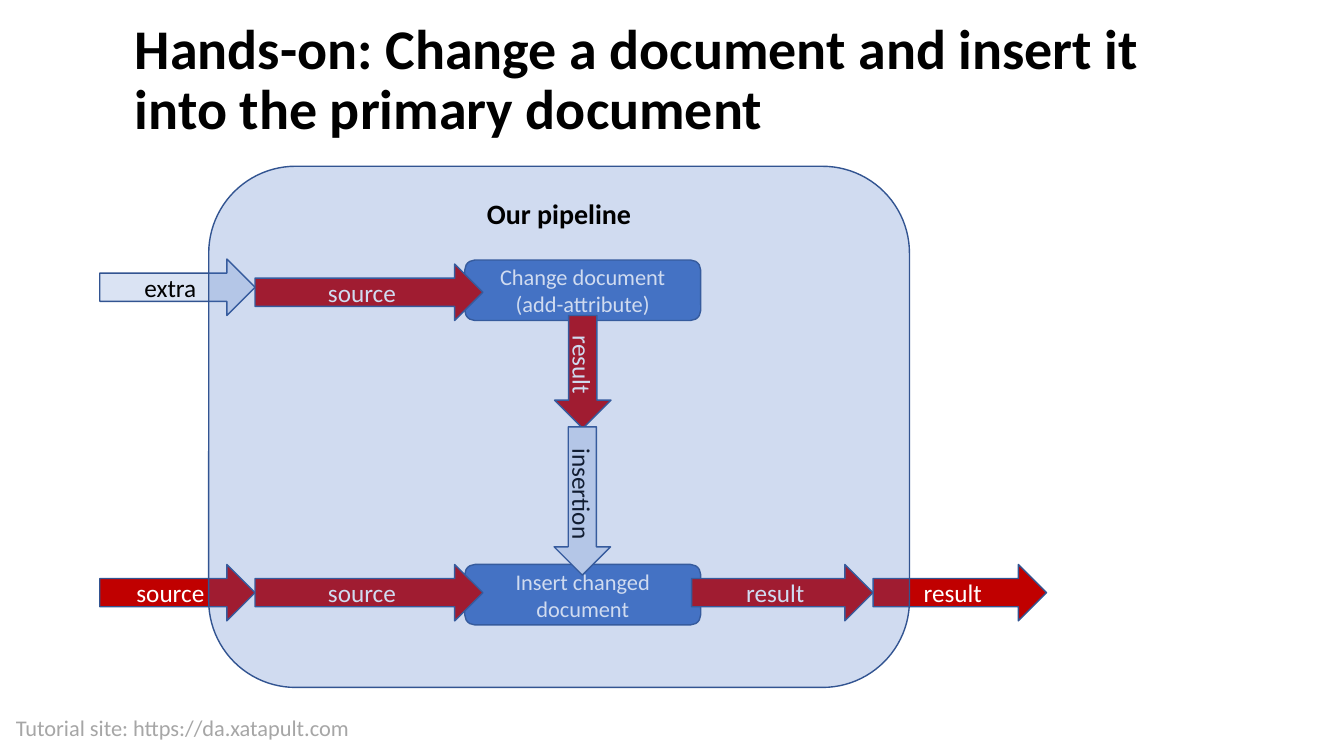
import pptx
import pptx.util
import pptx.dml.color
import pptx.enum.shapes
import pptx.enum.text
import pptx.oxml
import pptx.oxml.ns

PX = 9144  # EMU per px, 100 px to the inch
KIND = pptx.enum.shapes.MSO_SHAPE
ALIGN = pptx.enum.text.PP_ALIGN
ANCHOR = pptx.enum.text.MSO_ANCHOR

BLUE, RED, PALE = "4472C4", "C00000", "DAE3F3"
EDGE, WHITE, BLACK, GREY = "325491", "FFFFFF", "000000", "A6A6A6"
LOW = 560  # top of the lower row
THICK = 56


def px(*nums):
    return [pptx.util.Emu(num * PX) for num in nums]


def paint(target, color):
    """Give a font or a solid fill its hex colour."""
    if hasattr(target, "solid"):
        target.solid()
        target.fore_color.rgb = pptx.dml.color.RGBColor.from_string(color)
    else:
        target.color.rgb = pptx.dml.color.RGBColor.from_string(color)


def write(shape, text, size, color, bold=False, align=ALIGN.CENTER,
          anchor=ANCHOR.MIDDLE):
    frame = shape.text_frame
    frame.text = text
    frame.word_wrap = True
    frame.vertical_anchor = anchor
    for para in frame.paragraphs:
        para.alignment = align
        for run in para.runs:
            run.font.name = "Calibri"
            run.font.size = pptx.util.Pt(size)
            run.font.bold = bold
            paint(run.font, color)


def label(slide, box, text, size, color, bold=False, anchor=ANCHOR.TOP):
    shape = slide.shapes.add_textbox(*px(*box))
    write(shape, text, size, color, bold, ALIGN.LEFT, anchor)
    return shape


def block(slide, kind, box, fill):
    shape = slide.shapes.add_shape(kind, *px(*box))
    shape.shadow.inherit = False
    paint(shape.fill, fill)
    paint(shape.line.fill, EDGE)
    shape.line.width = pptx.util.Pt(1)
    return shape


def step(slide, top, text):
    shape = block(slide, KIND.ROUNDED_RECTANGLE, (461, top, 234, 60), BLUE)
    write(shape, text, 16, WHITE)


def arrow(slide, left, top, width, text, fill=RED, turn=0):
    shape = block(slide, KIND.RIGHT_ARROW, (left, top, width, THICK), fill)
    shape.rotation = turn
    write(shape, text, 18, WHITE if fill == RED else BLACK)


def veil(slide):
    """Lay the see-through pipeline frame over the steps."""
    shape = block(slide, KIND.ROUNDED_RECTANGLE, (207, 165, 695, 517), BLUE)
    tint = shape.fill._xPr.find(".//" + pptx.oxml.ns.qn("a:srgbClr"))
    tint.append(pptx.oxml.parse_xml(
        f'<a:alpha {pptx.oxml.ns.nsdecls("a")} val="25000"/>'))
    write(shape, "Our pipeline", 20, BLACK, True, anchor=ANCHOR.TOP)


def main():
    deck = pptx.Presentation()
    deck.slide_width, deck.slide_height = px(1333, 750)
    slide = deck.slides.add_slide(deck.slide_layouts[6])

    label(slide, (6, 704, 441, 37),
          "Tutorial site: https://da.xatapult.com", 16, GREY)
    title = label(slide, (124, 8, 1085, 145),
                  "Hands-on: Change a document and insert it "
                  "into the primary document", 40, BLACK, True, ANCHOR.MIDDLE)
    title.text_frame.paragraphs[0].line_spacing = 0.9

    step(slide, 258, "Change document\n(add-attribute)")
    step(slide, LOW, "Insert changed document")

    arrow(slide, 99, 257, 154, "extra", PALE)
    arrow(slide, 253, 262, 226, "source")
    arrow(slide, 522, 341, 112, "result", turn=90)
    arrow(slide, 504, 469, 147, "insertion", PALE, 90)
    for left, width, text in ((99, 154, "source"), (253, 226, "source"),
                              (686, 180, "result"), (866, 172, "result")):
        arrow(slide, left, LOW, width, text)

    veil(slide)
    deck.save("out.pptx")


if __name__ == "__main__":
    main()
